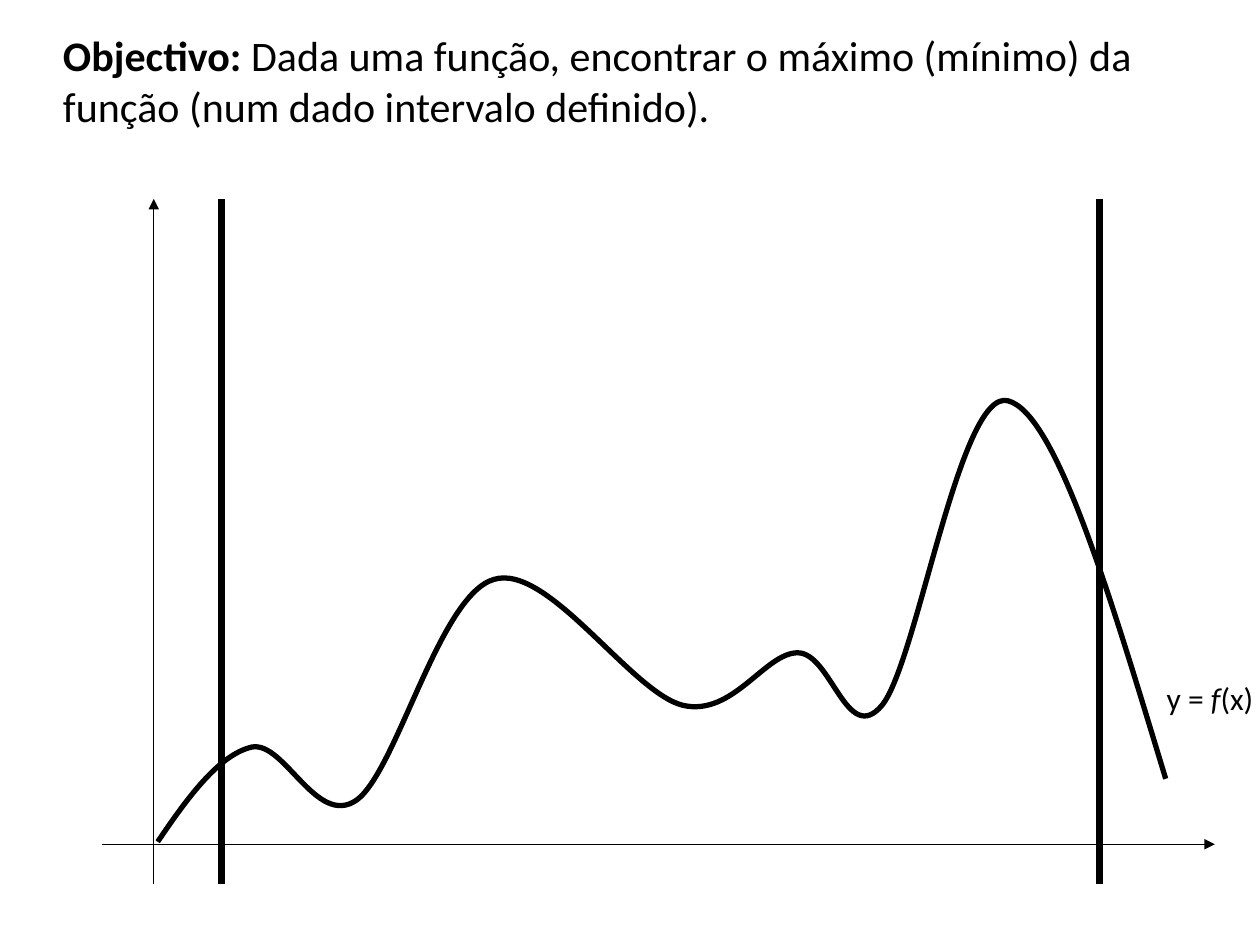
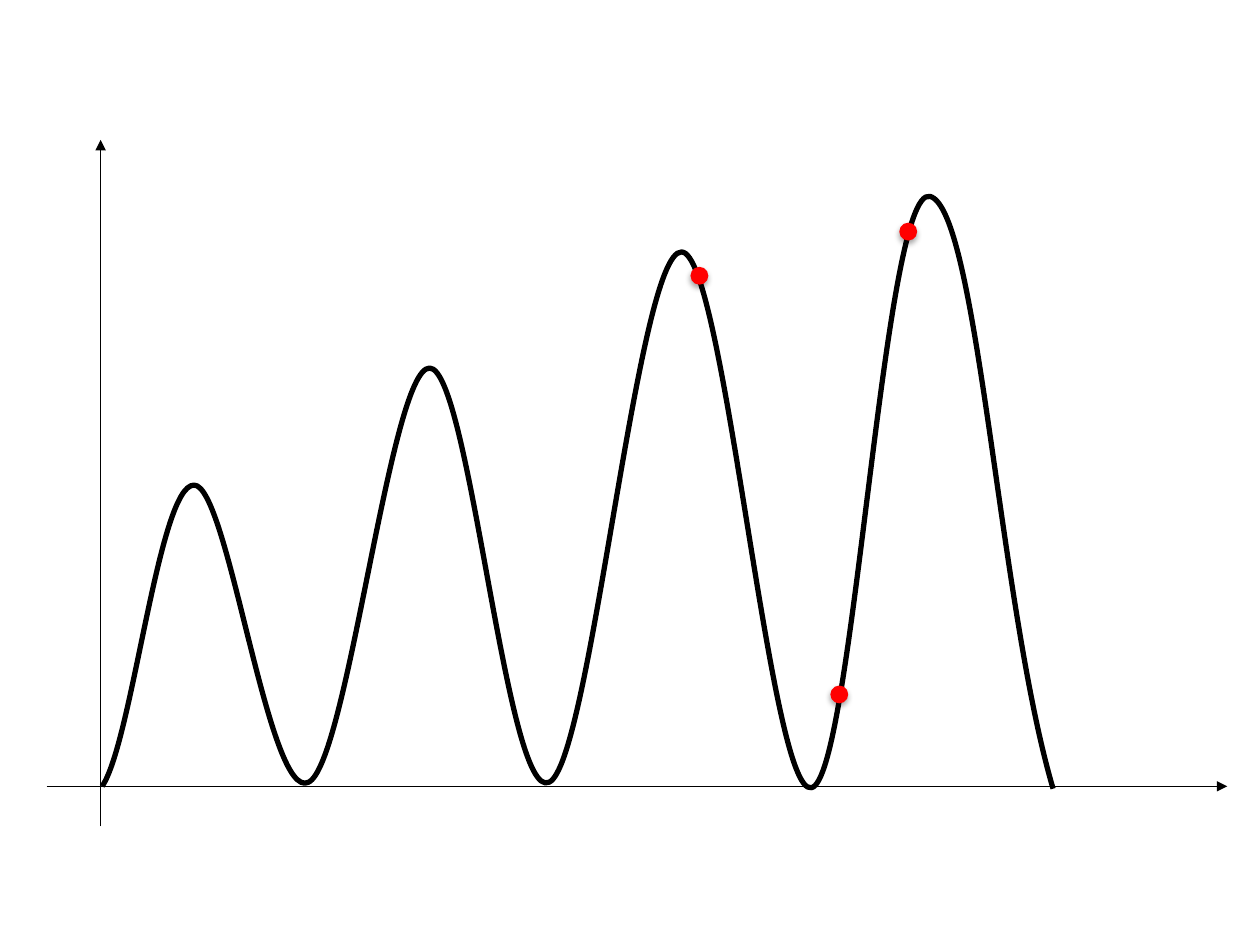
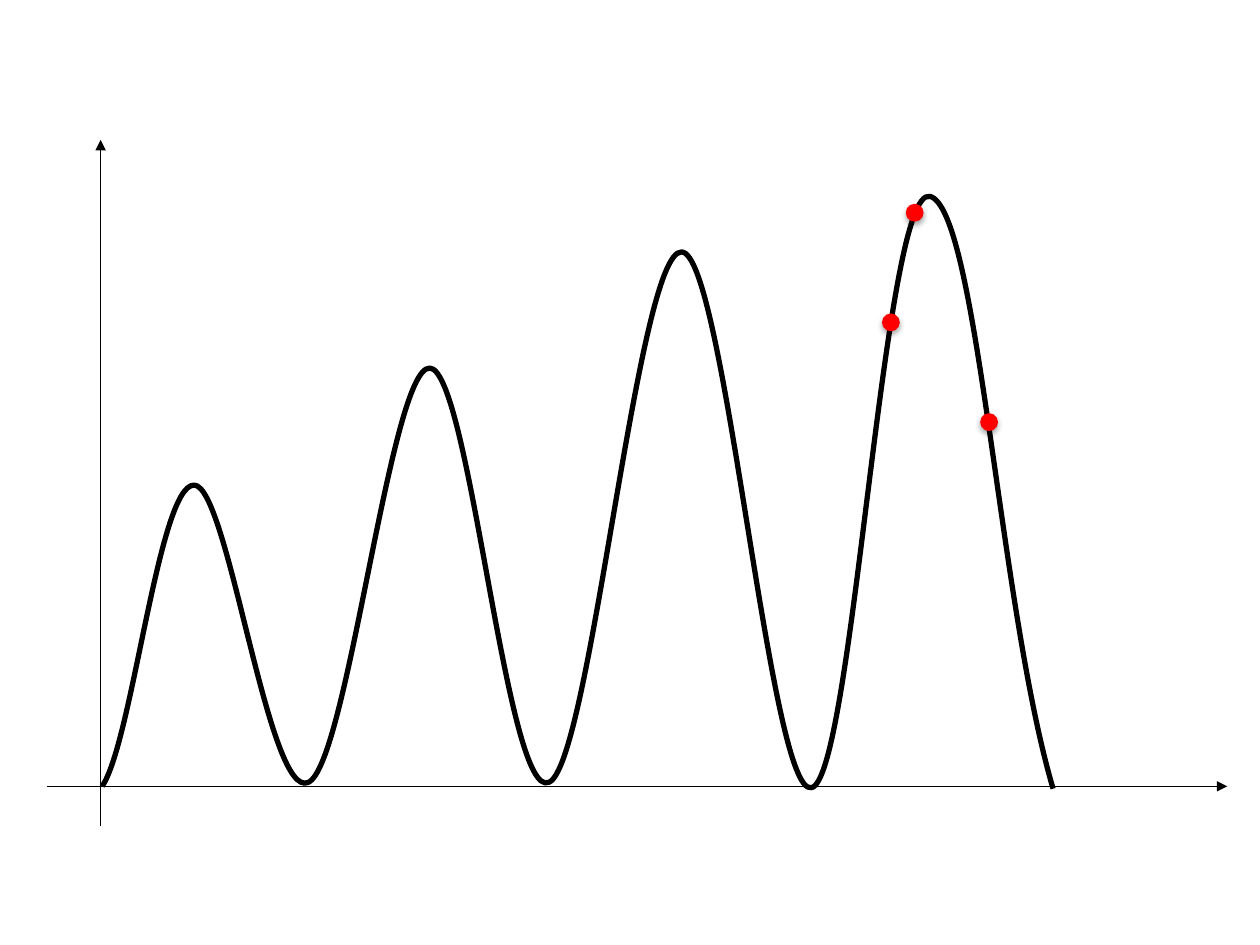
import pptx
import pptx.dml.color
import pptx.enum.shapes
import pptx.enum.text
import pptx.oxml
import pptx.oxml.ns
import pptx.util
from pptx.util import Cm

# Shared look
BLACK = pptx.dml.color.RGBColor(0x00, 0x00, 0x00)
RED = pptx.dml.color.RGBColor(0xFF, 0x00, 0x00)
FONT = "Calibri"
AXIS_WIDTH = 0.75
CURVE_WIDTH = 3
BOUND_WIDTH = 4.25
DOT_SIZE = 0.36
BLANK_LAYOUT = 6

DOT_SHADOW = (
    f'<a:outerShdw {pptx.oxml.ns.nsdecls("a")} blurRad="40000" dist="23000" '
    'dir="5400000" rotWithShape="0"><a:srgbClr val="000000">'
    '<a:alpha val="35000"/></a:srgbClr></a:outerShdw>'
)

# Curves in cm: a start, then (control, control, end) for each segment
FUNCTION_START = (3.18, 16.97)
FUNCTION_SEGMENTS = [
    ((3.78, 16.08), (4.42, 15.21), (5.08, 15.06)),
    ((5.74, 14.94), (6.38, 16.69), (7.19, 16.13)),
    ((8.0, 15.54), (8.86, 11.99), (9.96, 11.68)),
    ((11.05, 11.35), (12.73, 13.97), (13.77, 14.22)),
    ((14.78, 14.45), (15.42, 13.16), (16.08, 13.16)),
    ((16.76, 13.16), (17.07, 15.06), (17.78, 14.22)),
    ((18.49, 13.36), (19.35, 7.82), (20.32, 8.08)),
    ((21.29, 8.33), (22.38, 12.01), (23.5, 15.7)),
]
PEAKS_START = (2.06, 15.85)
PEAKS_SEGMENTS = [
    ((2.67, 14.96), (3.2, 9.78), (3.91, 9.78)),
    ((4.6, 9.75), (5.41, 16.18), (6.22, 15.77)),
    ((7.01, 15.39), (7.87, 7.42), (8.66, 7.42)),
    ((9.47, 7.42), (10.21, 16.18), (11.07, 15.77)),
    ((11.91, 15.39), (12.85, 5.05), (13.74, 5.08)),
    ((14.61, 5.08), (15.52, 16.08), (16.36, 15.88)),
    ((17.2, 15.7), (17.81, 3.71), (18.75, 3.96)),
    ((19.71, 4.22), (20.14, 12.22), (21.23, 15.9)),
]

# Centres of the candidate solutions on each of the peaks slides
CANDIDATES = [
    [(18.31, 4.67), (14.1, 5.56), (16.92, 14.0)],
    [(18.44, 4.29), (19.94, 8.51), (17.96, 6.5)],
]


def add_child(parent, tag, **attributes):
    child = pptx.oxml.ns.qn(tag)
    element = parent.makeelement(child, attributes)
    parent.append(element)
    return element


def add_line(shapes, start, end, width, arrow=False):
    line = shapes.add_connector(
        pptx.enum.shapes.MSO_CONNECTOR.STRAIGHT,
        *(Cm(value) for value in start + end),
    )
    line.line.color.rgb = BLACK
    line.line.width = pptx.util.Pt(width)
    properties = line._element.spPr
    if arrow:
        outline = properties.find(pptx.oxml.ns.qn("a:ln"))
        add_child(outline, "a:tailEnd", type="triangle")
    add_child(properties, "a:effectLst")


def add_axes(page, x, bottom, top, y, left, right):
    axes = page.shapes.add_group_shape().shapes
    add_line(axes, (x, bottom), (x, top), AXIS_WIDTH, arrow=True)
    add_line(axes, (left, y), (right, y), AXIS_WIDTH, arrow=True)


def add_curve(page, start, segments):
    ends = [segment[-1] for segment in segments]
    builder = page.shapes.build_freeform(Cm(start[0]), Cm(start[1]))
    builder.add_line_segments([(Cm(x), Cm(y)) for x, y in ends], close=False)
    curve = builder.convert_to_shape()
    curve.fill.background()
    curve.line.color.rgb = BLACK
    curve.line.width = pptx.util.Pt(CURVE_WIDTH)
    curve.shadow.inherit = False

    # Turn each straight segment into a Bezier segment
    straight = list(curve._element.iter(pptx.oxml.ns.qn("a:lnTo")))
    outline = straight[0].getparent()
    for old, segment in zip(straight, segments):
        outline.remove(old)
        bezier = add_child(outline, "a:cubicBezTo")
        for x, y in segment:
            add_child(bezier, "a:pt", x=str(Cm(x) - curve.left),
                      y=str(Cm(y) - curve.top))


def add_dot(page, x, y):
    dot = page.shapes.add_shape(
        pptx.enum.shapes.MSO_SHAPE.OVAL,
        Cm(x - DOT_SIZE / 2), Cm(y - DOT_SIZE / 2), Cm(DOT_SIZE), Cm(DOT_SIZE),
    )
    dot.fill.solid()
    dot.fill.fore_color.rgb = RED
    dot.line.fill.background()
    dot.shadow.inherit = False
    effects = dot._element.spPr.find(pptx.oxml.ns.qn("a:effectLst"))
    effects.append(pptx.oxml.parse_xml(DOT_SHADOW))


def add_text(page, left, top, width, height, spans, size, wrap):
    """Each span is (text, bold, italic)."""
    box = page.shapes.add_textbox(Cm(left), Cm(top), Cm(width), Cm(height))
    frame = box.text_frame
    frame.word_wrap = wrap
    frame.auto_size = pptx.enum.text.MSO_AUTO_SIZE.SHAPE_TO_FIT_TEXT
    para = frame.paragraphs[0]
    for text, bold, italic in spans:
        span = para.add_run()
        span.text = text
        span.font.name = FONT
        span.font.size = pptx.util.Pt(size)
        span.font.color.rgb = BLACK
        span.font.bold = bold
        span.font.italic = italic


def add_page(deck):
    return deck.slides.add_slide(deck.slide_layouts[BLANK_LAYOUT])


def build_objective(deck):
    page = add_page(deck)
    add_curve(page, FUNCTION_START, FUNCTION_SEGMENTS)
    add_axes(page, x=3.1, bottom=17.83, top=4.01, y=17.02, left=2.06, right=24.49)
    for bound in (4.47, 22.17):
        add_line(page.shapes, (bound, 4.01), (bound, 17.83), BOUND_WIDTH)
    add_text(page, 23.27, 13.56, 3.05, 1.27,
             [("y = ", False, False), ("f", False, True), ("(x)", False, False)],
             size=18, wrap=False)
    add_text(page, 1.02, 0.48, 23.5, 2.31,
             [("Objectivo:", True, False),
              (" Dada uma função, encontrar o máximo (mínimo) da função "
               "(num dado intervalo definido).", False, False)],
             size=24, wrap=True)


def build_peaks(deck, candidates):
    page = add_page(deck)
    add_curve(page, PEAKS_START, PEAKS_SEGMENTS)
    add_axes(page, x=2.03, bottom=16.66, top=2.82, y=15.85, left=0.94, right=24.74)
    for x, y in candidates:
        add_dot(page, x, y)


def main():
    deck = pptx.Presentation()
    deck.slide_width = Cm(25.4)
    deck.slide_height = Cm(19.05)
    build_objective(deck)
    for candidates in CANDIDATES:
        build_peaks(deck, candidates)
    deck.save("out.pptx")


if __name__ == "__main__":
    main()
